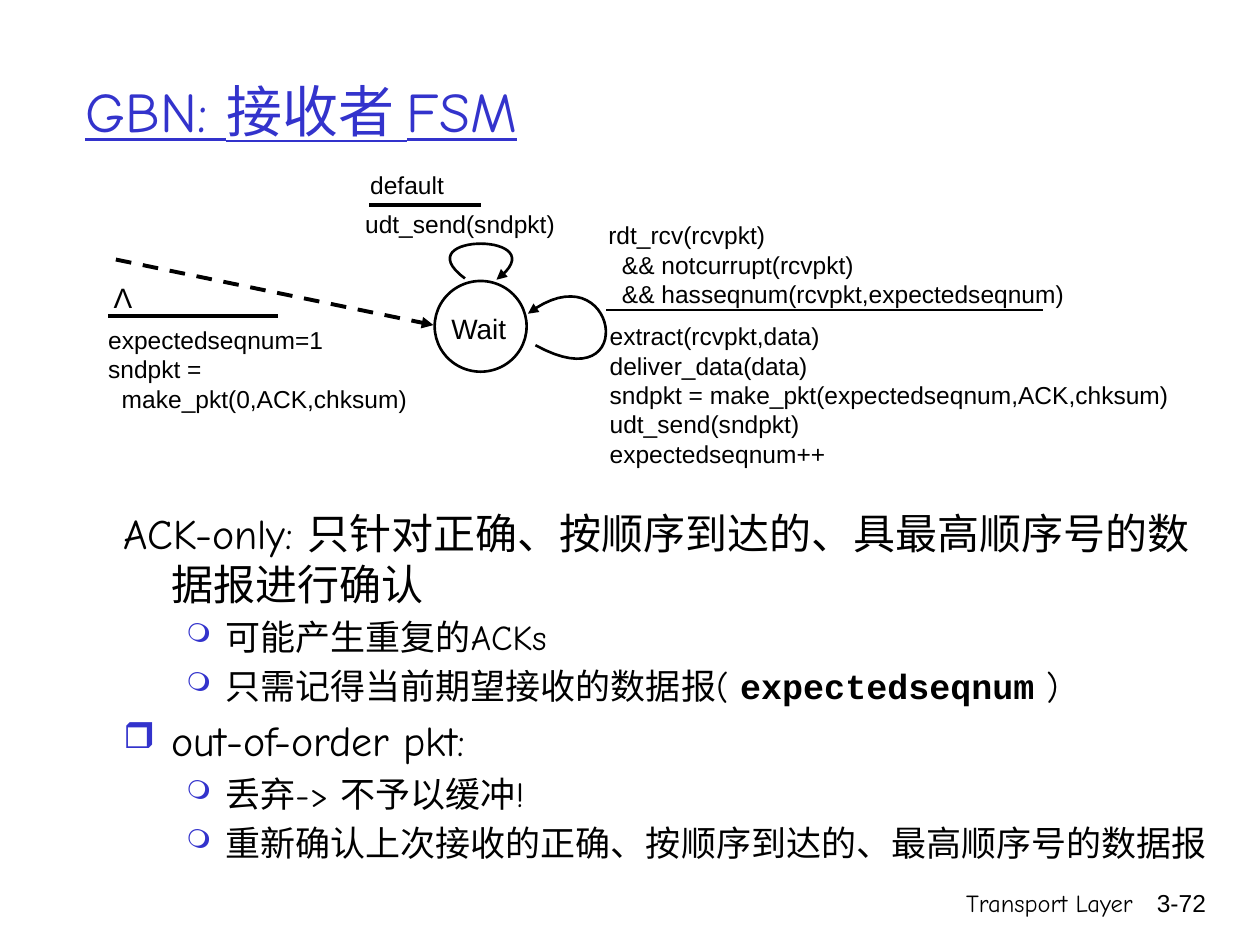
from lxml.etree import SubElement
from pptx import Presentation
from pptx.dml.color import RGBColor
from pptx.enum.dml import MSO_LINE_DASH_STYLE as Dash
from pptx.enum.shapes import MSO_CONNECTOR as Connector, MSO_SHAPE as Shape
from pptx.enum.text import MSO_ANCHOR as Anchor, PP_ALIGN as Align
from pptx.oxml.ns import qn
from pptx.util import Inches, Pt

COLUMNS, ROWS = 100, 75
BLACK, BLUE, WHITE = "000000", "3333CC", "FFFFFF"
SANS, HAND, MONO = "Arial", "Comic Neue", "Courier New"
CURVE_STEPS = 32

TITLE = "GBN: 接收者 FSM"
FOOTER = [
    ((59.2, 70, 31.7, 5), "Transport Layer", HAND),
    ((89.3, 70, 7.4, 5), "3-72", SANS),
]
BODY = [
    (0, "", [("ACK-only: 只针对正确、按顺序到达的、具最高顺序号的数据报进行确认", HAND, False)]),
    (1, "❍", [("可能产生重复的ACKs", HAND, False)]),
    (1, "❍", [("只需记得当前期望接收的数据报", MONO, False), ("( ", HAND, False),
              ("expectedseqnum", MONO, True), (" )", HAND, False)]),
    (0, "❒", [("out-of-order pkt:", HAND, False)]),
    (1, "❍", [("丢弃-> 不予以缓冲!", HAND, False)]),
    (1, "❍", [("重新确认上次接收的正确、按顺序到达的、最高顺序号的数据报", HAND, False)]),
]
LEVELS = [
    {"size": 24, "indent": 0.38, "hang": 0.38, "bullet_share": 85},
    {"size": 20, "indent": 0.81, "hang": 0.31, "bullet_share": 75},
]
STATE = (34.5, 22.3, 7.3, 7.2)
CENTERED_LABELS = [
    ((33.6, 24.2, 8.8, 2.6), "Wait"),
    ((8, 21.8, 3.5, 3.7), "Λ"),
]
CODE = [
    ((28, 16.1, 17.7, 3.4), ["udt_send(sndpkt)"]),
    ((28.4, 13, 9, 2.7), ["default"]),
    ((47.3, 17, 39, 6.2), ["rdt_rcv(rcvpkt)", "  && notcurrupt(rcvpkt)",
                           "  && hasseqnum(rcvpkt,expectedseqnum)"]),
    ((47.4, 25, 47.2, 9.4), ["extract(rcvpkt,data)", "deliver_data(data)",
                             "sndpkt = make_pkt(expectedseqnum,ACK,chksum)",
                             "udt_send(sndpkt)", "expectedseqnum++"]),
    ((7.6, 25.3, 39.8, 10.7), ["expectedseqnum=1", "sndpkt =", "  make_pkt(0,ACK,chksum)"]),
]
RULES = [
    ((29.3, 16.3), (38.2, 16.3), 2.25),
    ((48.1, 24.6), (82.8, 24.6), 1.5),
    ((8.6, 25.1), (22.1, 25.1), 2.25),
]
START_ARROW = ((9.2, 20.6), (34.4, 25.8), 2.25)
LOOPS = [
    [(42.5, 27.4), (51, 32.1), (49, 19.5), (41.9, 24.9)],
    [(36.9, 22.1), (31.9, 18.4), (44.5, 18.4), (39.4, 22.2)],
]

deck = Presentation()
deck.slide_width, deck.slide_height = Inches(10), Inches(7.5)
page = deck.slides.add_slide(deck.slide_layouts[6])


def color(value):
    return RGBColor.from_string(value)


def across(column):
    return int(deck.slide_width * column / COLUMNS)


def down(row):
    return int(deck.slide_height * row / ROWS)


def place(area):
    left, top, width, height = area
    return across(left), down(top), across(width), down(height)


def add_box(area, anchor=Anchor.TOP, wrap=True):
    frame = page.shapes.add_textbox(*place(area)).text_frame
    frame.word_wrap = wrap
    frame.vertical_anchor = anchor
    return frame


def add_para(frame, first):
    return frame.paragraphs[0] if first else frame.add_paragraph()


def add_span(para, text, size, face, ink=BLACK, bold=False, underline=False):
    span = para.add_run()
    span.text = text
    font = span.font
    font.size, font.name, font.bold, font.underline = Pt(size), face, bold, underline
    font.color.rgb = color(ink)


def add_lines(area, lines, size, face, align=Align.LEFT, wrap=True):
    frame = add_box(area, wrap=wrap)
    for number, text in enumerate(lines):
        para = add_para(frame, number == 0)
        para.alignment = align
        add_span(para, text, size, face)


def set_bullet(para, mark, level):
    props = para._p.get_or_add_pPr()
    props.set("marL", str(Inches(level["indent"])))
    props.set("indent", str(-Inches(level["hang"])))
    if not mark:
        SubElement(props, qn("a:buNone"))
        return
    tint = SubElement(props, qn("a:buClr"))
    SubElement(tint, qn("a:srgbClr"), val=BLUE)
    SubElement(props, qn("a:buSzPct"), val=str(level["bullet_share"] * 1000))
    SubElement(props, qn("a:buChar"), char=mark)


def add_arrowhead(shape):
    SubElement(shape.line._get_or_add_ln(), qn("a:tailEnd"), type="triangle")


def style_line(shape, width):
    shape.line.color.rgb = color(BLACK)
    shape.line.width = Pt(width)


def add_line(start, end, width):
    line = page.shapes.add_connector(
        Connector.STRAIGHT, across(start[0]), down(start[1]), across(end[0]), down(end[1]))
    style_line(line, width)
    SubElement(line._element.spPr, qn("a:effectLst"))
    return line


def curve_point(controls, share):
    rest = 1 - share
    weights = (rest ** 3, 3 * rest ** 2 * share, 3 * rest * share ** 2, share ** 3)
    column, row = (sum(w * c for w, c in zip(weights, axis)) for axis in zip(*controls))
    return across(column), down(row)


def add_loop(controls):
    points = [curve_point(controls, step / CURVE_STEPS) for step in range(CURVE_STEPS + 1)]
    builder = page.shapes.build_freeform(*points[0])
    builder.add_line_segments(points[1:], close=False)
    loop = builder.convert_to_shape()
    loop.shadow.inherit = False
    loop.fill.background()
    style_line(loop, 1.5)
    add_arrowhead(loop)


for area, text, face in FOOTER:
    add_lines(area, [text], 14, face, Align.RIGHT)

title = add_box((5.8, 2.5, 85, 12.5), Anchor.MIDDLE)
add_span(title.paragraphs[0], TITLE, 32, HAND, BLUE, underline=True)

body = add_box((8.8, 39.8, 89.1, 31.2))
for number, (depth, mark, spans) in enumerate(BODY):
    level = LEVELS[depth]
    para = add_para(body, number == 0)
    para.level = depth
    if number:
        para.space_before = Pt(level["size"] * 0.2)
    set_bullet(para, mark, level)
    for text, face, bold in spans:
        add_span(para, text, level["size"], face, bold=bold)

state = page.shapes.add_shape(Shape.OVAL, *place(STATE))
state.shadow.inherit = False
state.fill.solid()
state.fill.fore_color.rgb = color(WHITE)
style_line(state, 1.5)

for area, text in CENTERED_LABELS:
    add_lines(area, [text], 16, SANS, Align.CENTER, wrap=False)
for area, lines in CODE:
    add_lines(area, lines, 14, SANS)
for rule in RULES:
    add_line(*rule)
start_arrow = add_line(*START_ARROW)
start_arrow.line.dash_style = Dash.DASH
add_arrowhead(start_arrow)
for controls in LOOPS:
    add_loop(controls)

deck.save("out.pptx")
